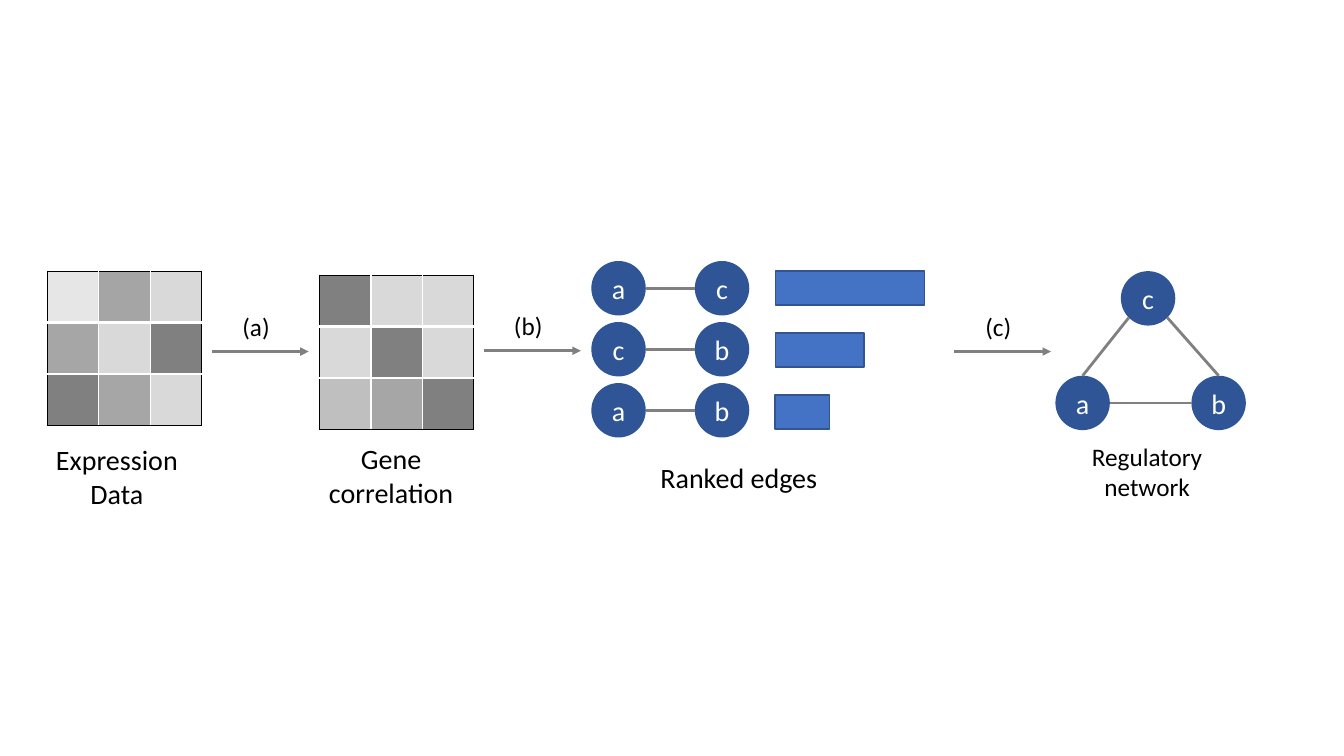
import math

import lxml.etree
import pptx
import pptx.dml.color
import pptx.enum.shapes
import pptx.enum.text
import pptx.oxml.ns
import pptx.util

FONT = "Calibri"
COLORS = {
    "text": "000000",
    "node": "2F5597",
    "node text": "FFFFFF",
    "bar": "4472C4",
    "bar edge": "325491",
    "link": "808080",
    "frame": "000000",
    "gap": "FFFFFF",
}
EXPRESSION = [["E7E6E6", "A5A5A5", "D9D9D9"],
              ["A6A6A6", "D9D9D9", "808080"],
              ["808080", "A6A6A6", "D9D9D9"]]
CORRELATION = [["808080", "D9D9D9", "D9D9D9"],
               ["D9D9D9", "808080", "D9D9D9"],
               ["BFBFBF", "A6A6A6", "808080"]]
# First gene, second gene, bar width in columns
RANKED_EDGES = [("a", "c", 11.1), ("c", "b", 6.6), ("a", "b", 4.05)]

# The slide is a grid of 100 columns by 100 rows.
SLIDE_WIDTH = pptx.util.Inches(13.333)
SLIDE_HEIGHT = pptx.util.Inches(7.5)
MATRIX_COLS, MATRIX_ROWS = 11.48, 20.4
NODE_COLS, NODE_ROWS = 4.05, 7.2
ARROW_COLS = 7.22


def cols(count):
    return round(SLIDE_WIDTH * count / 100)


def rows(count):
    return round(SLIDE_HEIGHT * count / 100)


def rgb(name):
    return pptx.dml.color.RGBColor.from_string(COLORS[name])


def add_xml(parent, tag, **attributes):
    return lxml.etree.SubElement(parent, pptx.oxml.ns.qn(tag), attributes)


def write(frame, lines, size, color):
    """Fill a text frame with one centred paragraph per line."""
    for index, line in enumerate(lines):
        paragraph = frame.add_paragraph() if index else frame.paragraphs[0]
        paragraph.alignment = pptx.enum.text.PP_ALIGN.CENTER
        run = paragraph.add_run()
        run.text = line
        run.font.name = FONT
        run.font.size = pptx.util.Pt(size)
        run.font.color.rgb = rgb(color)


def add_caption(slide, col, row, width, height, lines, size=20):
    caption = slide.shapes.add_textbox(cols(col), rows(row), cols(width), rows(height))
    caption.text_frame.word_wrap = True
    caption.text_frame.auto_size = pptx.enum.text.MSO_AUTO_SIZE.SHAPE_TO_FIT_TEXT
    write(caption.text_frame, lines, size, "text")


def add_border(cell, side, color, width):
    line = add_xml(cell._tc.get_or_add_tcPr(), f"a:ln{side}", w=str(pptx.util.Pt(width)))
    add_xml(add_xml(line, "a:solidFill"), "a:srgbClr", val=COLORS[color])


def add_matrix(slide, col, row, shades):
    """Draw a heat map with a dark frame and a thick gap below its first row."""
    count = len(shades)
    last = count - 1
    table = slide.shapes.add_table(count, count, cols(col), rows(row),
                                   cols(MATRIX_COLS), rows(MATRIX_ROWS)).table
    table.first_row = table.horz_banding = False
    for r, shade_row in enumerate(shades):
        for c, shade in enumerate(shade_row):
            cell = table.cell(r, c)
            on_frame = {"L": c == 0, "R": c == last, "T": r == 0, "B": r == last}
            for side, outer in on_frame.items():
                thick = (r, side) in ((0, "B"), (1, "T"))
                add_border(cell, side, "frame" if outer else "gap", 3 if thick else 1)
            cell.fill.solid()
            cell.fill.fore_color.rgb = pptx.dml.color.RGBColor.from_string(shade)


def add_node(slide, col, row, gene):
    node = slide.shapes.add_shape(pptx.enum.shapes.MSO_SHAPE.OVAL, cols(col), rows(row),
                                  cols(NODE_COLS), rows(NODE_ROWS))
    node.shadow.inherit = False
    node.fill.solid()
    node.fill.fore_color.rgb = rgb("node")
    node.line.fill.background()
    node.text_frame.vertical_anchor = pptx.enum.text.MSO_ANCHOR.MIDDLE
    write(node.text_frame, [gene], 20, "node text")
    return node


def add_bar(slide, col, row, width):
    bar = slide.shapes.add_shape(pptx.enum.shapes.MSO_SHAPE.RECTANGLE,
                                 cols(col), rows(row), cols(width), rows(4.47))
    bar.shadow.inherit = False
    bar.fill.solid()
    bar.fill.fore_color.rgb = rgb("bar")
    bar.line.color.rgb = rgb("bar edge")
    bar.line.width = pptx.util.Pt(1)


def rim(node, degrees):
    """Return the point on a node's edge, clockwise from its right end."""
    angle = math.radians(degrees)
    return (round(node.left + node.width * (1 + math.cos(angle)) / 2),
            round(node.top + node.height * (1 + math.sin(angle)) / 2))


def add_link(slide, start, end):
    link = slide.shapes.add_connector(pptx.enum.shapes.MSO_CONNECTOR.STRAIGHT, *start, *end)
    link.line.color.rgb = rgb("link")
    link.line.width = pptx.util.Pt(2)
    add_xml(link._element.spPr, "a:effectLst")
    return link


def add_step(slide, col, row, label):
    """Draw an arrow to the next stage with its label above."""
    arrow = add_link(slide, (cols(col), rows(row)), (cols(col + ARROW_COLS), rows(row)))
    add_xml(arrow.line._get_or_add_ln(), "a:tailEnd", type="triangle")
    add_caption(slide, col + 1.5, row - 5.97, 3.6, 5.33, [label], 18)


def add_ranked_edges(slide):
    for rank, (first, second, width) in enumerate(RANKED_EDGES):
        row = 34.53 + 8.07 * rank
        left = add_node(slide, 44, row, first)
        right = add_node(slide, 51.7, row, second)
        add_link(slide, rim(left, 0), rim(right, 180))
        add_bar(slide, 57.68, 35.87 + 8.2 * rank, width)


def add_network(slide):
    a = add_node(slide, 78.53, 49.7, "a")
    b = add_node(slide, 88.65, 49.7, "b")
    c = add_node(slide, 83.4, 35.87, "c")
    add_link(slide, rim(a, 270), rim(c, 135))
    add_link(slide, rim(c, 45), rim(b, 270))
    add_link(slide, rim(a, 0), rim(b, 180))


def main():
    deck = pptx.Presentation()
    deck.slide_width, deck.slide_height = SLIDE_WIDTH, SLIDE_HEIGHT
    slide = deck.slides.add_slide(deck.slide_layouts.get_by_name("Blank"))

    add_matrix(slide, 3.53, 35.87, EXPRESSION)
    add_caption(slide, 3.15, 57.87, 11.1, 10.27, ["Expression", "Data"])
    add_step(slide, 15.75, 46.5, "(a)")

    add_matrix(slide, 23.78, 36.4, CORRELATION)
    add_caption(slide, 23.55, 57.73, 11.1, 10.27, ["Gene correlation"])
    add_step(slide, 36, 46.4, "(b)")

    add_ranked_edges(slide)
    add_caption(slide, 47.4, 60.27, 15.15, 5.87, ["Ranked edges"])
    add_step(slide, 70.98, 46.5, "(c)")

    add_network(slide)
    add_caption(slide, 79.8, 57.73, 11.1, 9.47, ["Regulatory", "network"], 18)

    deck.save("out.pptx")


if __name__ == "__main__":
    main()
